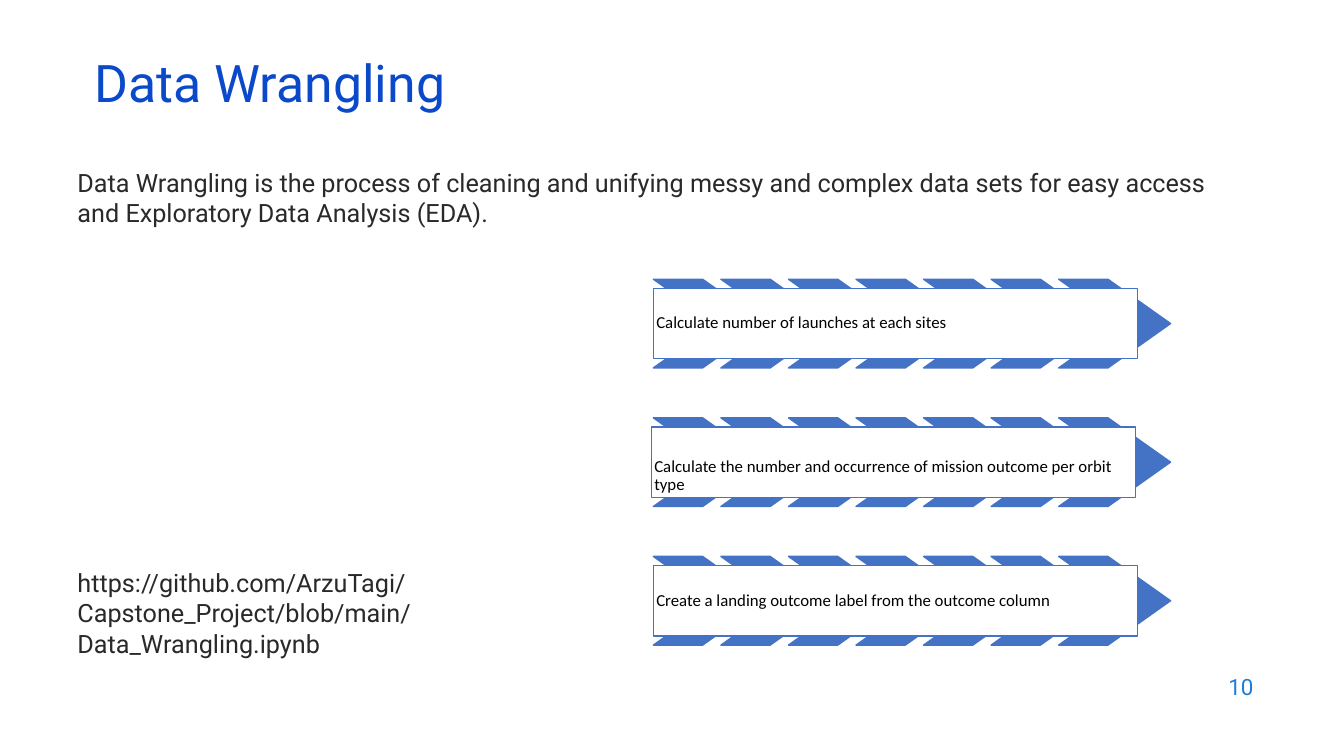
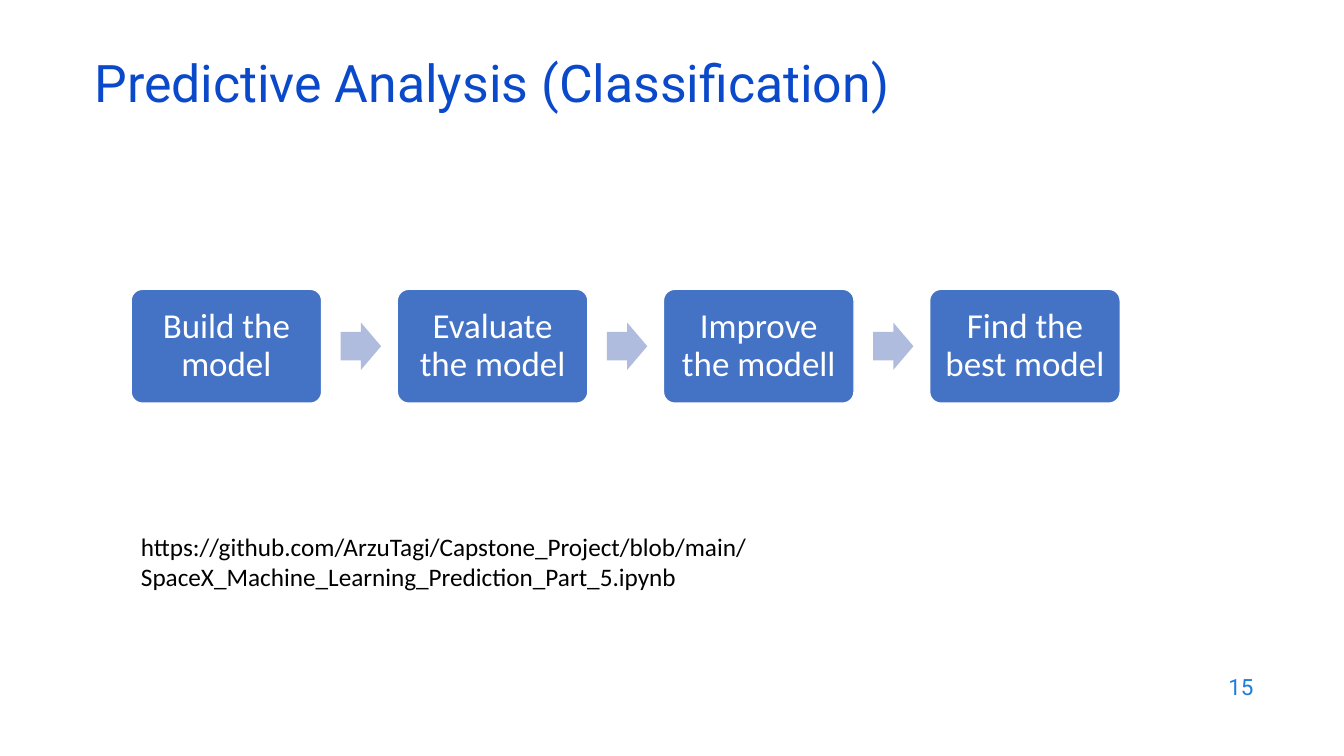
from lxml import etree
from pptx import Presentation
from pptx import util as u
from pptx.dml.color import RGBColor
from pptx.enum import shapes, text

BLUE = "4472C4"
PALE_BLUE = "B0BCDE"
TITLE_BLUE = "0B49CB"
NUMBER_BLUE = "1C7DDB"
DARK = "292929"
BLACK = "000000"
WHITE = "FFFFFF"
HEADING_FONT = "Roboto"
DIAGRAM_FONT = "Calibri"

SHAPE = shapes.MSO_SHAPE
ANCHOR = text.MSO_ANCHOR
ALIGN = text.PP_ALIGN


def color(hex_value):
    return RGBColor.from_string(hex_value)


def write(sp, words, size=18, font=HEADING_FONT, fill=DARK, align=ALIGN.LEFT,
          anchor=ANCHOR.TOP, spacing=1.0, insets=(0.1, 0.05)):
    tf = sp.text_frame
    tf.word_wrap = True
    tf.vertical_anchor = anchor
    tf.margin_left = tf.margin_right = u.Inches(insets[0])
    tf.margin_top = tf.margin_bottom = u.Inches(insets[1])
    p = tf.paragraphs[0]
    p.alignment = align
    p.line_spacing = spacing
    r = p.add_run()
    r.text = words
    r.font.size = u.Pt(size)
    r.font.name = font
    r.font.color.rgb = color(fill)


def add_text(s, words, left, top, width, height, **style):
    sp = s.shapes.add_textbox(*map(u.Inches, (left, top, width, height)))
    write(sp, words, **style)


def add_block(s, kind, left, top, width, height, fill, line=None, adjust=()):
    sp = s.shapes.add_shape(kind, *map(u.Inches, (left, top, width, height)))
    sp.shadow.inherit = False
    sp.fill.solid()
    sp.fill.fore_color.rgb = color(fill)
    if line:
        sp.line.color.rgb = color(line)
        sp.line.width = u.Pt(1)
    else:
        sp.line.fill.background()
    for i, value in enumerate(adjust):
        sp.adjustments[i] = value
    return sp


def add_slide(prs, title, number):
    s = prs.slides.add_slide(prs.slide_layouts[6])
    add_text(s, number, 9.53, 6.59, 3, 0.44, size=16, fill=NUMBER_BLUE,
             align=ALIGN.RIGHT, anchor=ANCHOR.MIDDLE)
    add_text(s, title, 0.84, 0.59, 11.5, 0.6, size=37, fill=TITLE_BLUE,
             anchor=ANCHOR.MIDDLE, spacing=0.7)
    return s


def add_chevron_step(s, words, top, box_left=6.48, anchor=ANCHOR.MIDDLE):
    for i in range(7):
        add_block(s, SHAPE.CHEVRON, 6.48 + i * 0.67, top, 1.11, 0.88,
                  BLUE, BLUE, [0.706])
    sp = add_block(s, SHAPE.RECTANGLE, box_left, top + 0.09, 4.8, 0.7, WHITE, BLUE)
    write(sp, words, size=12, font=DIAGRAM_FONT, fill=BLACK, anchor=anchor,
          spacing=0.9, insets=(0.03, 0.03))


def add_process(s, steps):
    width, pitch = 1.89, 2.64
    for i, words in enumerate(steps):
        left = 1.3 + i * pitch
        sp = add_block(s, SHAPE.ROUNDED_RECTANGLE, left, 2.87, width, 1.13,
                       BLUE, WHITE, [0.1])
        write(sp, words, size=25, font=DIAGRAM_FONT, fill=WHITE, align=ALIGN.CENTER,
              anchor=ANCHOR.MIDDLE, spacing=0.9, insets=(0.1, 0.1))
        if i < len(steps) - 1:
            add_block(s, SHAPE.RIGHT_ARROW, left + width + 0.19, 3.2, 0.4, 0.47,
                      PALE_BLUE, adjust=[0.6, 0.5])


def build_wrangling(prs):
    s = add_slide(prs, "Data Wrangling", "10")
    first_top, pitch = 2.77, 1.375
    add_chevron_step(s, "Calculate number of launches at each sites", first_top)
    add_chevron_step(
        s, "Calculate the number and occurrence of mission outcome per orbit type",
        first_top + pitch, box_left=6.46, anchor=ANCHOR.BOTTOM)
    add_chevron_step(s, "Create a landing outcome label from the outcome column",
                     first_top + 2 * pitch)
    add_text(s, "Data Wrangling is the process of cleaning and unifying messy and "
             "complex data sets for easy access and Exploratory Data Analysis (EDA).",
             0.67, 1.61, 11.68, 0.71)
    add_text(s, "https://github.com/ArzuTagi/Capstone_Project/blob/main/"
             "Data_Wrangling.ipynb", 0.67, 5.58, 5.02, 0.71)


def build_prediction(prs):
    s = add_slide(prs, "Predictive Analysis (Classification)", "15")
    add_process(s, ["Build the model", "Evaluate the model",
                    "Improve the modell", "Find the best model"])
    add_text(s, "https://github.com/ArzuTagi/Capstone_Project/blob/main/"
             "SpaceX_Machine_Learning_Prediction_Part_5.ipynb",
             1.3, 5.22, 7.17, 0.71, font=DIAGRAM_FONT, fill=BLACK)


def main():
    prs = Presentation()
    prs.slide_width = u.Inches(13.33)
    prs.slide_height = u.Inches(7.5)
    build_wrangling(prs)
    build_prediction(prs)
    prs.save("out.pptx")


if __name__ == "__main__":
    main()
